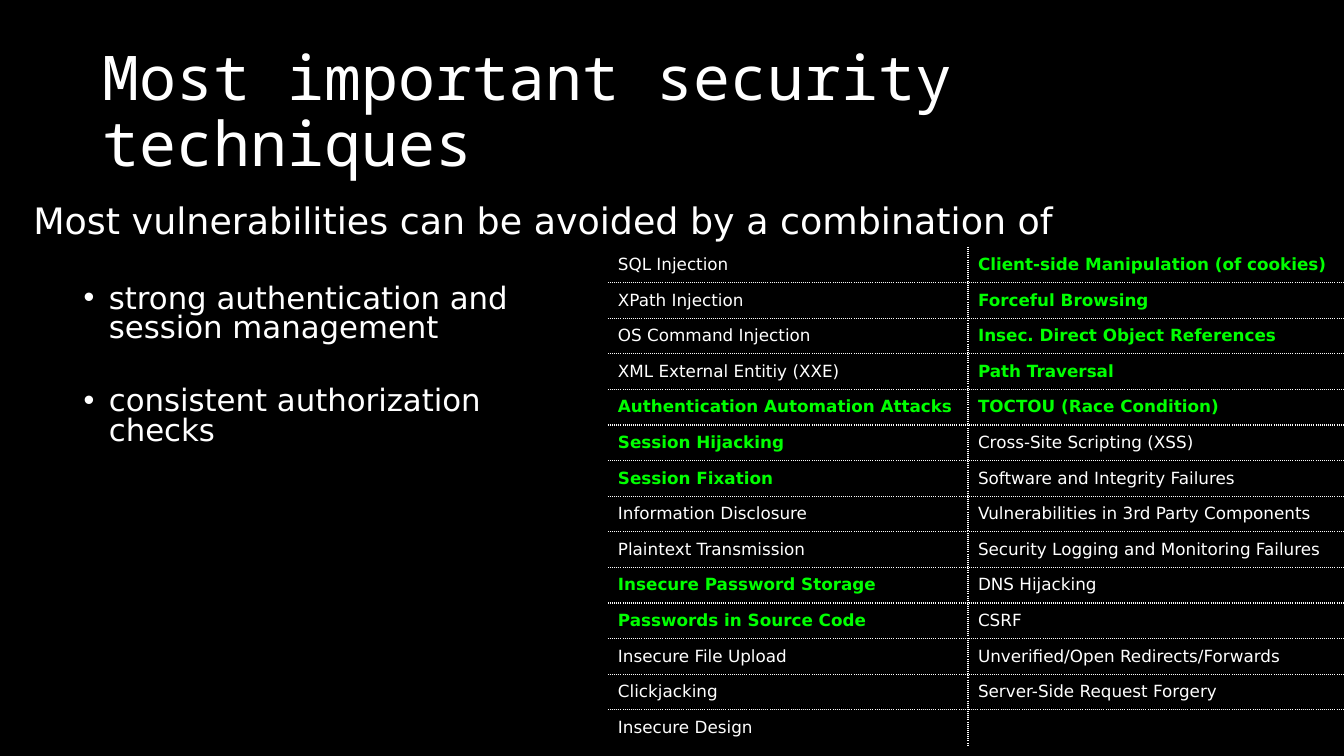
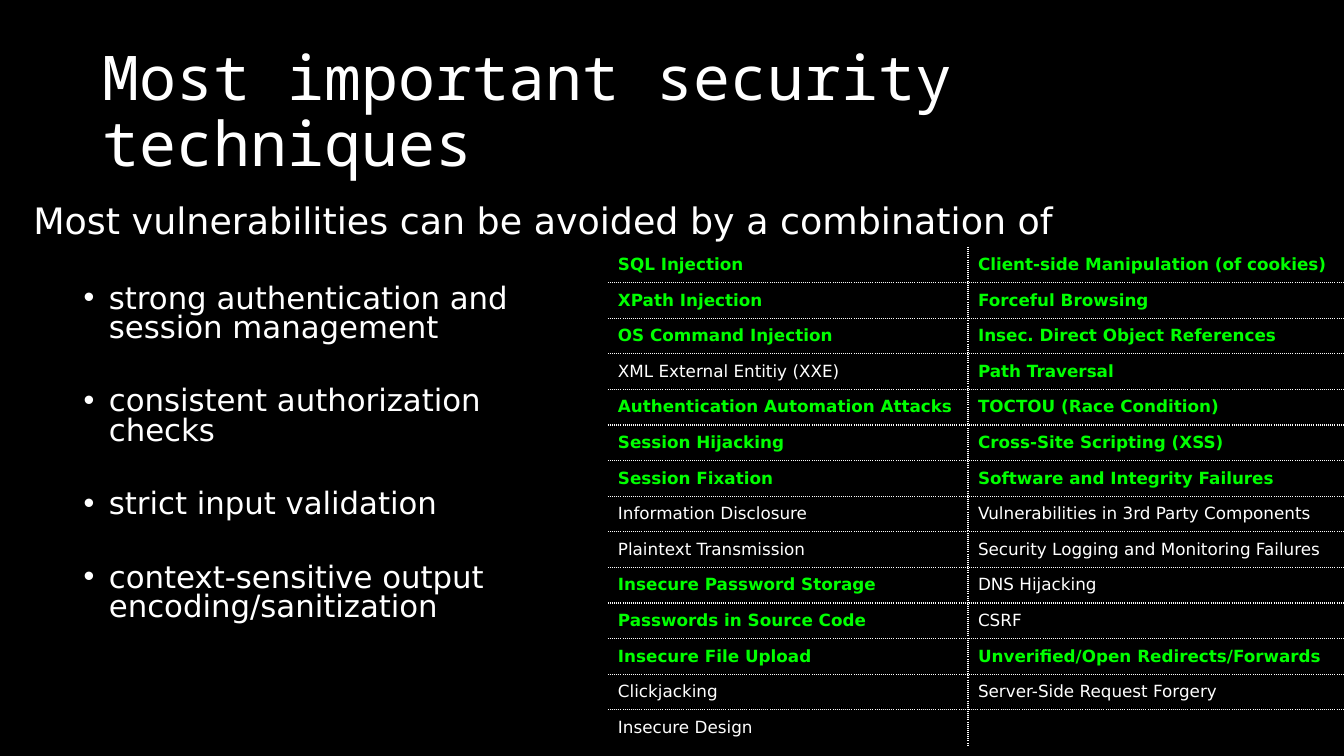
from lxml import etree
from pptx import Presentation
from pptx.dml.color import RGBColor
from pptx.enum import text as tx
from pptx.oxml import ns
from pptx.util import Pt

# Content: each threat has the slide from which it is marked (0 = never)
TITLE = "Most important security techniques"
LEAD = "Most vulnerabilities can be avoided by a combination of"
ITEMS = [
    "strong authentication and\nsession management",
    "consistent authorization\nchecks",
    "strict input validation",
    "context-sensitive output\nencoding/sanitization",
]
SHOWN = [2, 4]  # list items on each slide
LEFT = [
    ("SQL Injection", 2),
    ("XPath Injection", 2),
    ("OS Command Injection", 2),
    ("XML External Entitiy (XXE)", 0),
    ("Authentication Automation Attacks", 1),
    ("Session Hijacking", 1),
    ("Session Fixation", 1),
    ("Information Disclosure", 0),
    ("Plaintext Transmission", 0),
    ("Insecure Password Storage", 1),
    ("Passwords in Source Code", 1),
    ("Insecure File Upload", 2),
    ("Clickjacking", 0),
    ("Insecure Design", 0),
]
RIGHT = [
    ("Client-side Manipulation (of cookies)", 1),
    ("Forceful Browsing", 1),
    ("Insec. Direct Object References", 1),
    ("Path Traversal", 1),
    ("TOCTOU (Race Condition)", 1),
    ("Cross-Site Scripting (XSS)", 2),
    ("Software and Integrity Failures", 2),
    ("Vulnerabilities in 3rd Party Components", 0),
    ("Security Logging and Monitoring Failures", 0),
    ("DNS Hijacking", 0),
    ("CSRF", 0),
    ("Unverified/Open Redirects/Forwards", 2),
    ("Server-Side Request Forgery", 0),
    ("", 0),
]

# Shared look
COLORS = {"back": "000000", "text": "FFFFFF", "mark": "00FF00"}
MONO, SANS = "Noto Sans Mono", "DejaVu Sans"
WIDE, HIGH = 960, 540
BOXES = {0: (66, 29, 856, 104), 1: (16.6, 144, 940, 323)}
GRID = (434.2, 176.4)
COLS, ROW = (257.2, 268.4), 25.45


def place(shape, box):
    shape.left, shape.top, shape.width, shape.height = map(Pt, box)


def style(para, font, size, color="text", bold=False):
    for run in para.runs:
        run.font.name, run.font.size, run.font.bold = font, Pt(size), bold
        run.font.color.rgb = RGBColor.from_string(COLORS[color])


def space(para, line, before):
    para.alignment = tx.PP_ALIGN.LEFT
    para.line_spacing, para.space_before = line, Pt(before)


def bullet(para, char=None):
    props = para._p.get_or_add_pPr()
    props.set("marL", str(Pt(54) if char else 0))
    props.set("indent", str(Pt(-18) if char else 0))
    mark = etree.SubElement(props, ns.qn("a:buChar" if char else "a:buNone"))
    if char:
        mark.set("char", char)


def border(cell, side, dots):
    line = etree.SubElement(cell._tc.get_or_add_tcPr(), ns.qn("a:ln" + side))
    if not dots:
        etree.SubElement(line, ns.qn("a:noFill"))
        return
    line.set("w", str(Pt(1)))
    fill = etree.SubElement(line, ns.qn("a:solidFill"))
    etree.SubElement(fill, ns.qn("a:srgbClr")).set("val", COLORS["text"])
    etree.SubElement(line, ns.qn("a:prstDash")).set("val", "sysDot")


def add_title(slide):
    frame = slide.shapes.title.text_frame
    frame.text = TITLE
    frame.auto_size = tx.MSO_AUTO_SIZE.NONE
    frame.vertical_anchor = tx.MSO_ANCHOR.MIDDLE
    space(frame.paragraphs[0], 0.9, 0)
    style(frame.paragraphs[0], MONO, 44)


def add_list(slide, items):
    frame = slide.placeholders[1].text_frame
    frame.auto_size = tx.MSO_AUTO_SIZE.NONE
    lead = frame.paragraphs[0]
    lead.text = LEAD
    space(lead, 0.8, 10)
    bullet(lead)
    style(lead, SANS, 26)
    for item in items:
        para = frame.add_paragraph()
        para.text, para.level = item, 1
        space(para, 0.8, 31.3)
        bullet(para, "•")
        style(para, SANS, 22)


def add_grid(slide, step):
    rows = list(zip(LEFT, RIGHT))
    box = map(Pt, (*GRID, sum(COLS), ROW * len(rows)))
    table = slide.shapes.add_table(len(rows), len(COLS), *box).table
    table.first_row = table.horz_banding = False
    for col, width in zip(table.columns, COLS):
        col.width = Pt(width)
    for r, pair in enumerate(rows):
        table.rows[r].height = Pt(ROW)
        for c, (name, since) in enumerate(pair):
            cell = table.cell(r, c)
            cell.text = name
            cell.vertical_anchor = tx.MSO_ANCHOR.MIDDLE
            cell.margin_top = cell.margin_bottom = 0
            hit = 0 < since <= step
            style(cell.text_frame.paragraphs[0], SANS, 12,
                  "mark" if hit else "text", hit)
            # Dotted lines inside the grid only
            inner = {"L": c > 0, "R": c < len(COLS) - 1,
                     "T": r > 0, "B": r < len(rows) - 1}
            for side, dots in inner.items():
                border(cell, side, dots)
            cell.fill.background()


def main():
    deck = Presentation()
    deck.slide_width, deck.slide_height = Pt(WIDE), Pt(HIGH)
    back = deck.slide_master.background.fill
    back.solid()
    back.fore_color.rgb = RGBColor.from_string(COLORS["back"])
    layout = deck.slide_layouts[1]
    for shape in layout.placeholders:
        if shape.placeholder_format.idx in BOXES:
            place(shape, BOXES[shape.placeholder_format.idx])
    for step, count in enumerate(SHOWN, 1):
        slide = deck.slides.add_slide(layout)
        add_title(slide)
        add_list(slide, ITEMS[:count])
        add_grid(slide, step)
    deck.save("out.pptx")


if __name__ == "__main__":
    main()
